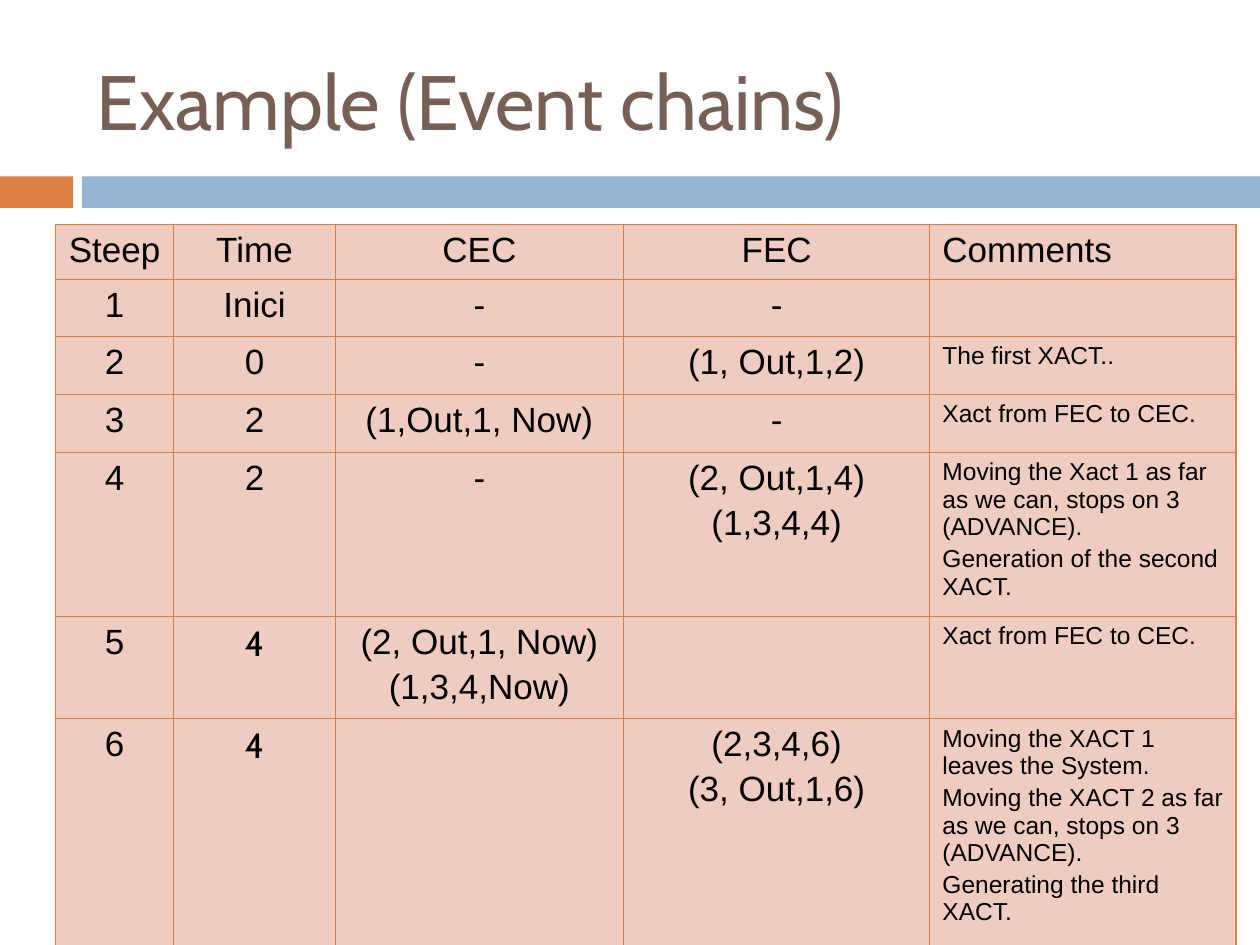
from dataclasses import dataclass

from pptx import Presentation
from pptx.dml.color import RGBColor
from pptx.enum.shapes import MSO_SHAPE
from pptx.enum.text import MSO_ANCHOR, PP_ALIGN
from pptx.oxml.ns import qn
from pptx.util import Inches, Pt
from lxml.etree import SubElement


@dataclass(frozen=True)
class Theme:
    title_color: str = "775F55"
    accent: str = "DD8047"
    band: str = "94B6D2"
    cell_fill: str = "EECCC0"
    text: str = "000000"
    title_font: str = "Cabin"
    body_font: str = "Arial"
    title_size: int = 44
    body_size: int = 20
    comment_size: int = 14
    border: float = 0.79
    paragraph_gap: float = 0.17  # share of the type size


THEME = Theme()
TITLE = "Example (Event chains)"
BARS = [(0, 0.58, THEME.accent), (0.65, 9.35, THEME.band)]  # left, width, colour

COLUMN_WIDTHS = [0.94, 1.28, 2.29, 2.43, 2.43]
ROW_HEIGHTS = [0.44, 0.45, 0.46, 0.46, 1.23, 0.78, 1.71]
TIME, COMMENTS = 1, 4
CABIN_ROWS = (5, 6)  # their time is set in the title font

# One list per row; each cell is a list of paragraphs.
ROWS = [
    [["Steep"], ["Time"], ["CEC"], ["FEC"], ["Comments"]],
    [["1"], ["Inici"], ["-"], ["-"], []],
    [["2"], ["0"], ["-"], ["(1, Out,1,2)"], ["The first XACT.."]],
    [["3"], ["2"], ["(1,Out,1, Now)"], ["-"], ["Xact from FEC to CEC."]],
    [["4"], ["2"], ["-"], ["(2, Out,1,4)", "(1,3,4,4)"],
     ["Moving the Xact 1 as far as we can, stops on 3 (ADVANCE).",
      "Generation of the second XACT."]],
    [["5"], ["4"], ["(2, Out,1, Now)", "(1,3,4,Now)"], [],
     ["Xact from FEC to CEC."]],
    [["6"], ["4"], [], ["(2,3,4,6)", "(3, Out,1,6)"],
     ["Moving the XACT 1 leaves the System.",
      "Moving the XACT 2 as far as we can, stops on 3 (ADVANCE).",
      "Generating the third XACT."]],
]


def set_font(paragraph, name, size, color):
    paragraph.font.name = name
    paragraph.font.size = Pt(size)
    paragraph.font.color.rgb = RGBColor.from_string(color)


def add_bar(page, left, width, color):
    bar = page.shapes.add_shape(MSO_SHAPE.RECTANGLE, Inches(left), Inches(1.4),
                                Inches(width), Inches(0.25))
    bar.shadow.inherit = False
    bar.fill.solid()
    bar.fill.fore_color.rgb = RGBColor.from_string(color)
    bar.line.fill.background()


def add_title(page):
    box = page.shapes.add_textbox(Inches(0.67), Inches(0.25), Inches(8.92), Inches(1.08))
    frame = box.text_frame
    frame.word_wrap = True
    frame.vertical_anchor = MSO_ANCHOR.MIDDLE
    frame.text = TITLE
    set_font(frame.paragraphs[0], THEME.title_font, THEME.title_size, THEME.title_color)


def style_cell(cell):
    """Draw the four borders, then the fill, in the order the schema wants."""
    properties = cell._tc.get_or_add_tcPr()
    for side in ("a:lnL", "a:lnR", "a:lnT", "a:lnB"):
        line = SubElement(properties, qn(side), w=str(Pt(THEME.border)))
        fill = SubElement(line, qn("a:solidFill"))
        SubElement(fill, qn("a:srgbClr"), val=THEME.accent)
    cell.fill.solid()
    cell.fill.fore_color.rgb = RGBColor.from_string(THEME.cell_fill)


def fill_cell(cell, texts, row, column):
    is_comment = column == COMMENTS
    size = THEME.comment_size if is_comment and row > 0 else THEME.body_size
    in_cabin = column == TIME and row in CABIN_ROWS
    font = THEME.title_font if in_cabin else THEME.body_font
    cell.text = "\n".join(texts)
    for paragraph in cell.text_frame.paragraphs:
        paragraph.alignment = PP_ALIGN.LEFT if is_comment else PP_ALIGN.CENTER
        paragraph.space_before = Pt(size * THEME.paragraph_gap)
        set_font(paragraph, font, size, THEME.text)


def add_event_table(page):
    table = page.shapes.add_table(
        len(ROWS), len(COLUMN_WIDTHS), Inches(0.44), Inches(1.78),
        Inches(sum(COLUMN_WIDTHS)), Inches(sum(ROW_HEIGHTS))).table
    table.first_row = table.horz_banding = False
    for column, width in zip(table.columns, COLUMN_WIDTHS):
        column.width = Inches(width)
    for row, height in zip(table.rows, ROW_HEIGHTS):
        row.height = Inches(height)
    for row, cells in enumerate(ROWS):
        for column, texts in enumerate(cells):
            cell = table.cell(row, column)
            style_cell(cell)
            fill_cell(cell, texts, row, column)


def main():
    deck = Presentation()
    deck.slide_width, deck.slide_height = Inches(10), Inches(7.5)
    page = deck.slides.add_slide(deck.slide_layouts[6])
    for bar in BARS:
        add_bar(page, *bar)
    add_title(page)
    add_event_table(page)
    deck.save("out.pptx")


if __name__ == "__main__":
    main()
